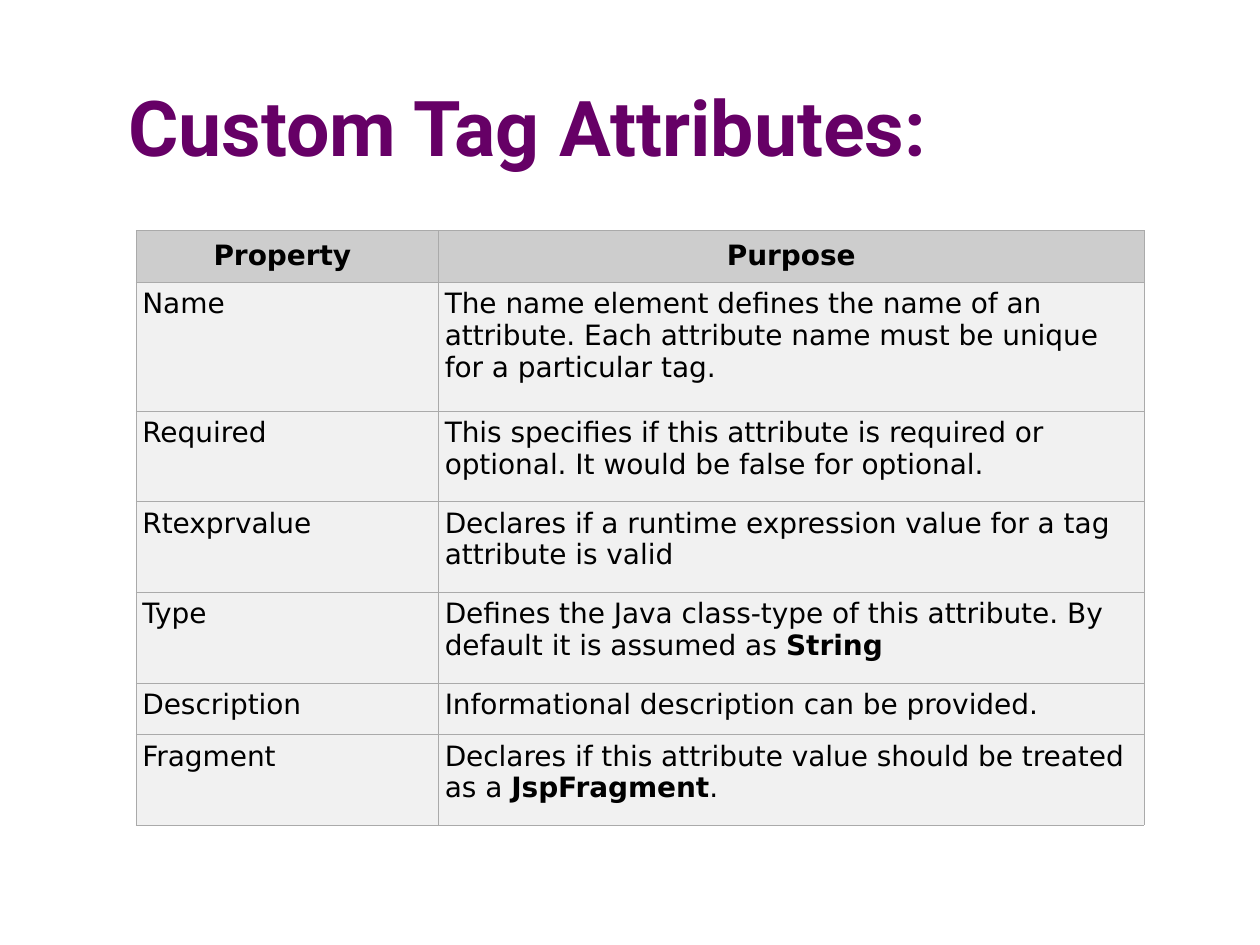
from typing import NamedTuple

from lxml import etree
from pptx import Presentation
from pptx import util as u
from pptx.dml.color import RGBColor
from pptx.enum import text
from pptx.oxml import ns


class Run(NamedTuple):
    words: str
    bold: bool = False


class Row(NamedTuple):
    name: str
    use: list[Run]
    high: float


class Look(NamedTuple):
    fill: str
    bold: bool
    align: text.PP_ALIGN
    anchor: text.MSO_ANCHOR


HEAD = Look("CDCDCD", True, text.PP_ALIGN.CENTER, text.MSO_ANCHOR.MIDDLE)
BODY = Look("F1F1F1", False, text.PP_ALIGN.LEFT, text.MSO_ANCHOR.TOP)
WIDTHS = [2.4, 5.6]
ROWS = [
    Row("Property ", [Run("Purpose", True)], 0.41),
    Row("Name", [Run("The name element defines the name of an attribute. "
                     "Each attribute name must be unique for a particular tag.")], 1.02),
    Row("Required", [Run("This specifies if this attribute is required or optional. "
                         "It would be false for optional.")], 0.72),
    Row("Rtexprvalue", [Run("Declares if a runtime expression value for a tag "
                            "attribute is valid")], 0.72),
    Row("Type", [Run("Defines the Java class-type of this attribute. "
                     "By default it is assumed as "), Run("String", True)], 0.72),
    Row("Description", [Run("Informational description can be provided.")], 0.41),
    Row("Fragment", [Run("Declares if this attribute value should be treated as a "),
                     Run("JspFragment", True), Run(".")], 0.72),
]


def color(code: str) -> RGBColor:
    return RGBColor.from_string(code)


def style(font, face: str, size: int, code: str) -> None:
    font.name = face
    font.size = u.Pt(size)
    font.color.rgb = color(code)


def border(cell, code: str, width: float) -> None:
    props = cell._tc.get_or_add_tcPr()
    for side in ("L", "R", "T", "B"):
        line = etree.SubElement(props, ns.qn(f"a:ln{side}"), w=str(u.Pt(width)))
        fill = etree.SubElement(line, ns.qn("a:solidFill"))
        etree.SubElement(fill, ns.qn("a:srgbClr"), val=code)


def put_cell(cell, runs: list[Run], look: Look) -> None:
    border(cell, "AAAAAA", 0.23)
    cell.fill.solid()
    cell.fill.fore_color.rgb = color(look.fill)
    cell.vertical_anchor = look.anchor
    cell.margin_left = cell.margin_right = u.Inches(0.05)
    cell.margin_top = cell.margin_bottom = u.Inches(0.05)
    para = cell.text_frame.paragraphs[0]
    para.alignment = look.align
    para.line_spacing = 0.98
    style(para.font, "DejaVu Sans", 16, "000000")
    mixed = len({run.bold for run in runs}) > 1
    if not mixed:
        para.font.bold = runs[0].bold
    for item in runs:
        run = para.add_run()
        run.text = item.words
        if mixed:
            run.font.bold = item.bold


def put_title(slide, words: str) -> None:
    box = slide.shapes.add_textbox(
        u.Inches(0.92), u.Inches(0.58), u.Inches(7.92), u.Inches(0.84))
    frame = box.text_frame
    frame.word_wrap = True
    frame.auto_size = text.MSO_AUTO_SIZE.SHAPE_TO_FIT_TEXT
    para = frame.paragraphs[0]
    para.text = words
    style(para.font, "Roboto", 44, "660066")
    para.font.bold = True


def put_table(slide, rows: list[Row]) -> None:
    table = slide.shapes.add_table(
        len(rows), len(WIDTHS), u.Inches(1.08), u.Inches(1.83),
        u.Inches(sum(WIDTHS)), u.Inches(sum(row.high for row in rows))).table
    table.first_row = table.horz_banding = False
    for col, width in zip(table.columns, WIDTHS):
        col.width = u.Inches(width)
    for i, row in enumerate(rows):
        table.rows[i].height = u.Inches(row.high)
        look = BODY if i else HEAD
        put_cell(table.cell(i, 0), [Run(row.name, look.bold)], look)
        put_cell(table.cell(i, 1), row.use, look)


def main() -> None:
    deck = Presentation()
    deck.slide_width, deck.slide_height = u.Inches(10), u.Inches(7.5)
    slide = deck.slides.add_slide(deck.slide_layouts[6])
    put_title(slide, "Custom Tag Attributes:")
    put_table(slide, ROWS)
    deck.save("out.pptx")


if __name__ == "__main__":
    main()
